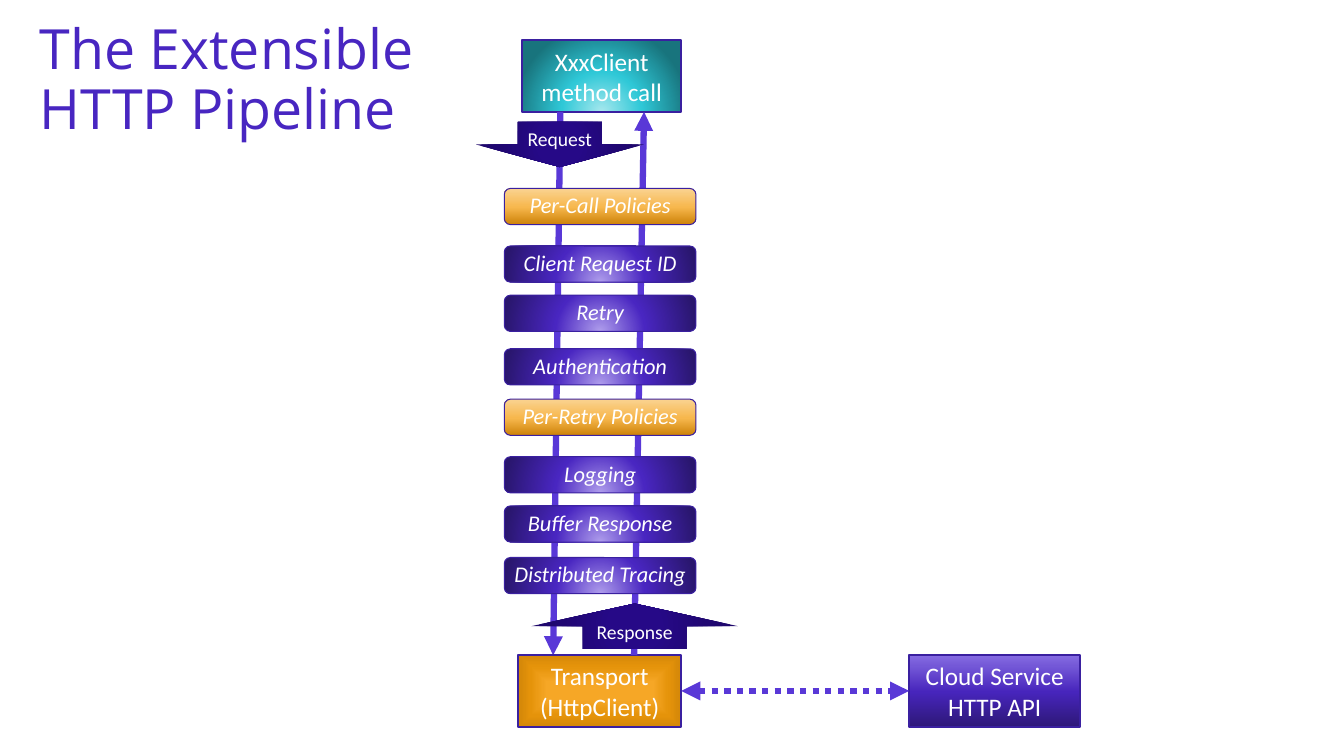
from lxml import etree
from pptx import Presentation
from pptx import util as u
from pptx.dml.color import RGBColor
from pptx.enum import dml, shapes, text
from pptx.oxml.ns import qn

WHITE = RGBColor(0xFF, 0xFF, 0xFF)
TITLE_PURPLE = RGBColor(0x48, 0x26, 0xC1)
FLOW_PURPLE = RGBColor(0x59, 0x38, 0xD7)
OUTLINE_PURPLE = RGBColor(0x3A, 0x20, 0xA0)


def stops(*pairs):
    return [(position, RGBColor.from_string(color)) for position, color in pairs]


GLOW = ("circle", (50, 130, 50, -30))
TEAL = stops((0, "A7E8EE"), (46, "2FC8D7"), (100, "18747D")), GLOW
PURPLE = stops((0, "AF9DEC"), (46, "4926C1"), (100, "29166D")), GLOW
ORANGE = (stops((0, "F6A726"), (23, "F6A726"), (69, "E5930A"), (97, "D68909")),
          ("rect", (50, 50, 50, 50)))
INDIGO = (stops((0, "260987"), (23, "260987"), (69, "200772"), (97, "1E076A")),
          ("circle", (50, 50, 50, 50)))
GOLD = stops((0, "CD8309"), (48, "F7B74D"), (100, "FAD391")), None
VIOLET = stops((0, "2E1879"), (48, "4725BC"), (100, "866CE2")), None

POLICY_LEFT, POLICY_WIDTH, POLICY_HEIGHT = 12.71, 4.83, 0.91
POLICIES = [
    ("Per-Call Policies", 4.75, GOLD),
    ("Client Request ID", 6.2, PURPLE),
    ("Retry", 7.44, PURPLE),
    ("Authentication", 8.79, PURPLE),
    ("Per-Retry Policies", 10.06, GOLD),
    ("Logging", 11.51, PURPLE),
    ("Buffer Response", 12.75, PURPLE),
    ("Distributed Tracing", 14.05, PURPLE),
]


def fill_gradient(shape, gradient):
    color_stops, focus = gradient
    shape.fill.background()
    properties = shape.element.spPr
    fill = etree.Element(qn("a:gradFill"), rotWithShape="1")
    stop_list = etree.SubElement(fill, qn("a:gsLst"))
    for position, color in color_stops:
        stop = etree.SubElement(stop_list, qn("a:gs"), pos=str(position * 1000))
        etree.SubElement(stop, qn("a:srgbClr"), val=str(color))
    if focus:
        kind, edges = focus
        center = etree.SubElement(fill, qn("a:path"), path=kind)
        etree.SubElement(center, qn("a:fillToRect"),
                         {side: str(edge * 1000) for side, edge in zip("ltrb", edges)})
    else:
        etree.SubElement(fill, qn("a:lin"), ang=str(270 * 60000), scaled="0")
    properties.replace(properties.find(qn("a:noFill")), fill)


def add_block(slide, preset, box, label, gradient, size, insets, outline=None):
    block = slide.shapes.add_shape(preset, *map(u.Cm, box))
    block.shadow.inherit = False
    fill_gradient(block, gradient)
    if outline:
        block.line.color.rgb = OUTLINE_PURPLE
        block.line.width = u.Pt(outline)
    else:
        block.line.fill.background()
    frame = block.text_frame
    frame.word_wrap = True
    frame.vertical_anchor = text.MSO_ANCHOR.MIDDLE
    frame.margin_left = frame.margin_right = u.Cm(insets[0])
    frame.margin_top = frame.margin_bottom = u.Cm(insets[1])
    frame.text = label
    paragraph = frame.paragraphs[0]
    paragraph.alignment = text.PP_ALIGN.CENTER
    paragraph.font.name = "Calibri"
    paragraph.font.size = u.Pt(size)
    paragraph.font.color.rgb = WHITE
    return block


def add_endpoint(slide, left, top, width, label, gradient):
    return add_block(slide, shapes.MSO_SHAPE.RECTANGLE, (left, top, width, 1.8),
                     label, gradient, 18, (0.13, 0.13), 1.5)


def add_policy(slide, label, top, gradient):
    policy = add_block(slide, shapes.MSO_SHAPE.ROUNDED_RECTANGLE,
                       (POLICY_LEFT, top, POLICY_WIDTH, POLICY_HEIGHT),
                       label, gradient, 16, (0.25, 0.25), 0.75)
    policy.text_frame.word_wrap = False
    paragraph = policy.text_frame.paragraphs[0]
    paragraph.line_spacing = 0.9
    paragraph.space_after = u.Pt(6)
    paragraph.font.italic = True


def add_flow(slide, start, end, arrowheads=("tailEnd",), dash=None):
    flow = slide.shapes.add_connector(shapes.MSO_CONNECTOR.STRAIGHT,
                                      *map(u.Cm, start + end))
    flow.line.color.rgb = FLOW_PURPLE
    flow.line.width = u.Pt(4.5)
    if dash:
        flow.line.dash_style = dash
    properties = flow.element.spPr
    for arrowhead in arrowheads:
        etree.SubElement(properties.find(qn("a:ln")), qn(f"a:{arrowhead}"), type="triangle")
    etree.SubElement(properties, qn("a:effectLst"))
    return flow


def set_title(slide, wording):
    title = slide.shapes.title
    title.left, title.top, title.width, title.height = map(u.Cm, (0.74, 0.81, 32.39, 2.49))
    title.text_frame.text = wording
    title.text_frame.vertical_anchor = text.MSO_ANCHOR.MIDDLE
    paragraph = title.text_frame.paragraphs[0]
    paragraph.alignment = text.PP_ALIGN.LEFT
    paragraph.line_spacing = 0.9
    paragraph.font.name = "Open Sans"
    paragraph.font.size = u.Pt(39.6)
    paragraph.font.color.rgb = TITLE_PURPLE


def main():
    presentation = Presentation()
    presentation.slide_width, presentation.slide_height = u.Cm(33.87), u.Cm(19.05)
    slide = presentation.slides.add_slide(presentation.slide_layouts[5])
    set_title(slide, "The Extensible\vHTTP Pipeline")

    add_endpoint(slide, 13.16, 1.02, 4.01, "XxxClient\vmethod call", TEAL)
    add_flow(slide, (14.12, 2.82), (13.94, 16.51))
    transport = add_endpoint(slide, 13.06, 16.51, 4.11, "Transport\v(HttpClient)", ORANGE)
    service = add_endpoint(slide, 22.91, 16.51, 4.32, "Cloud Service HTTP API", VIOLET)
    network = add_flow(slide, (17.17, 17.41), (22.91, 17.41), ("headEnd", "tailEnd"),
                       dml.MSO_LINE.ROUND_DOT)
    network.begin_connect(transport, 3)
    network.end_connect(service, 1)
    add_flow(slide, (15.98, 16.51), (16.23, 2.82))

    for label, top, gradient in POLICIES:
        add_policy(slide, label, top, gradient)

    add_block(slide, shapes.MSO_SHAPE.DOWN_ARROW, (11.99, 3.07, 4.24, 1.14),
              "Request", INDIGO, 14, (0, 0.13))
    add_block(slide, shapes.MSO_SHAPE.UP_ARROW, (13.39, 15.21, 5.21, 1.14),
              "Response", INDIGO, 14, (0, 0.13))
    presentation.save("out.pptx")


if __name__ == "__main__":
    main()
